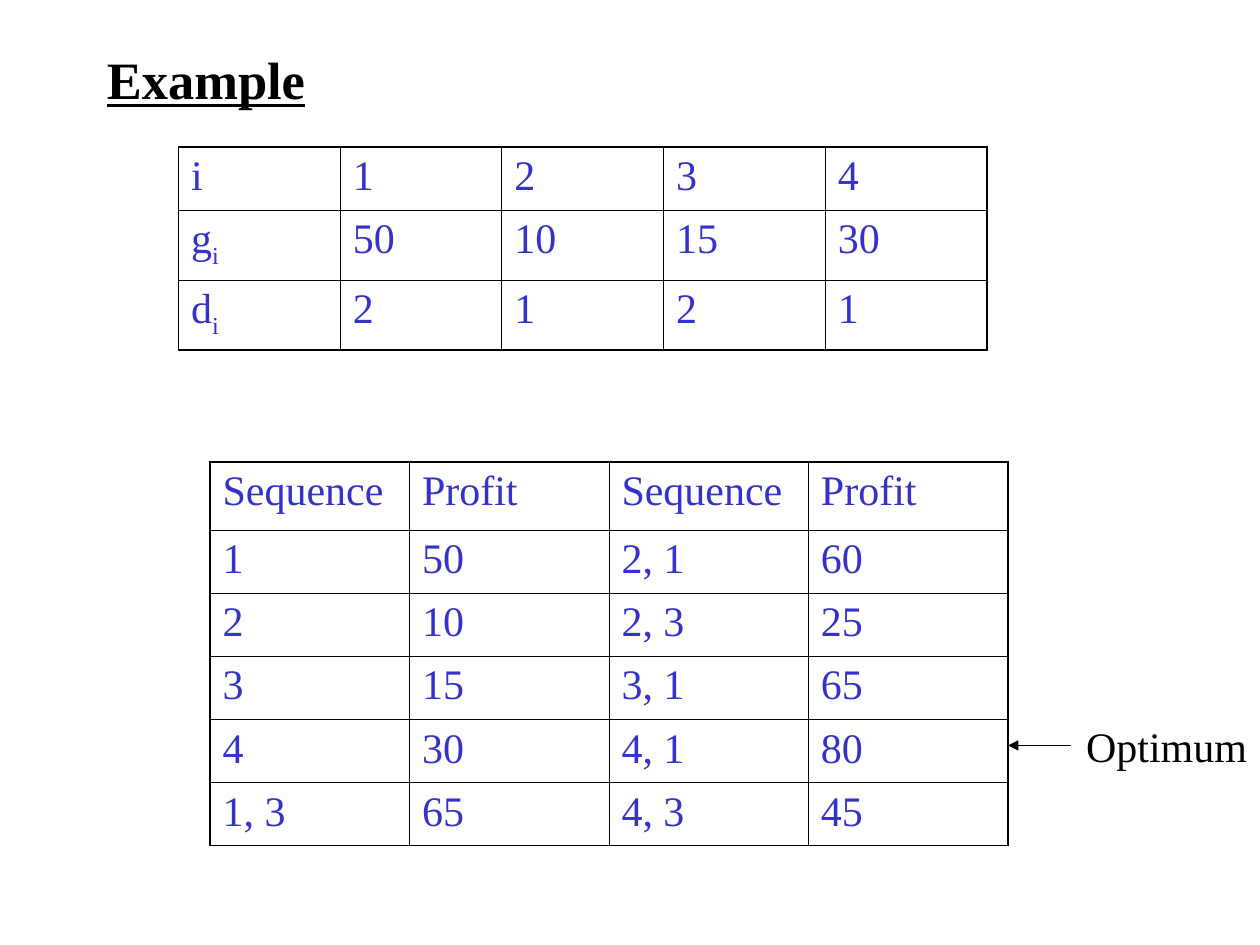
from lxml import etree
from pptx import Presentation
from pptx.dml.color import RGBColor
from pptx.enum import shapes, text
from pptx.oxml import ns
from pptx.util import Pt

FONT = "Times New Roman"
BLACK = "000000"
BLUE = "3333CC"
THIN, THICK = 0.45, 1.08

JOBS = [
    ["i", "1", "2", "3", "4"],
    ["g_i", "50", "10", "15", "30"],
    ["d_i", "2", "1", "2", "1"],
]
PROFITS = [
    ["Sequence", "Profit", "Sequence", "Profit"],
    ["1", "50", "2, 1", "60"],
    ["2", "10", "2, 3", "25"],
    ["3", "15", "3, 1", "65"],
    ["4", "30", "4, 1", "80"],
    ["1, 3", "65", "4, 3", "45"],
]


def color(value):
    """Turn a hex string into a colour."""
    return RGBColor.from_string(value)


def style_paragraph(paragraph, size, value):
    """Set the font, size and colour of a paragraph."""
    paragraph.font.name = FONT
    paragraph.font.size = Pt(size)
    paragraph.font.color.rgb = color(value)


def add_label(slide, box, content, size, wrap=True):
    """Add a black line of text, centred vertically in its box."""
    frame = slide.shapes.add_textbox(*map(Pt, box)).text_frame
    frame.word_wrap = wrap
    frame.vertical_anchor = text.MSO_ANCHOR.MIDDLE
    paragraph = frame.paragraphs[0]
    paragraph.text = content
    style_paragraph(paragraph, size, BLACK)
    return paragraph


def add_title(slide, box):
    """Add the underlined heading."""
    paragraph = add_label(slide, box, "Example", 30)
    paragraph.font.bold = True
    paragraph.font.underline = True


def set_borders(cell, widths):
    """Draw the left, right, top and bottom borders of a cell."""
    properties = cell._tc.get_or_add_tcPr()
    for index, (side, width) in enumerate(zip("LRTB", widths)):
        line = etree.Element(ns.qn(f"a:ln{side}"), w=str(Pt(width)))
        fill = etree.SubElement(line, ns.qn("a:solidFill"))
        etree.SubElement(fill, ns.qn("a:srgbClr"), val=BLACK)
        properties.insert(index, line)


def fill_cell(cell, content):
    """Write a cell, setting what follows an underscore as a subscript."""
    cell.fill.background()
    paragraph = cell.text_frame.paragraphs[0]
    base, _, subscript = content.partition("_")
    paragraph.add_run().text = base
    if subscript:
        run = paragraph.add_run()
        run.text = subscript
        run._r.get_or_add_rPr().set("baseline", "-25000")
    style_paragraph(paragraph, 24, BLUE)


def add_grid(slide, left, top, width, heights, rows):
    """Add a table with equal columns, thin rules and a thicker frame."""
    last_row, last_column = len(rows) - 1, len(rows[0]) - 1
    box = (left, top, width, sum(heights))
    table = slide.shapes.add_table(len(rows), len(rows[0]), *map(Pt, box)).table
    table.first_row = table.horz_banding = False
    for column in table.columns:
        column.width = Pt(width / len(rows[0]))
    for r, (height, values) in enumerate(zip(heights, rows)):
        table.rows[r].height = Pt(height)
        for c, value in enumerate(values):
            cell = table.cell(r, c)
            fill_cell(cell, value)
            edges = (c == 0, c == last_column, r == 0, r == last_row)
            set_borders(cell, [THICK if edge else THIN for edge in edges])


def add_optimum(slide, left, top, width, height):
    """Add the arrow to the best row and its label."""
    arrow_length = 36
    label_left = left + arrow_length + 1.5
    y = top + height / 2
    ends = (left + arrow_length, y, left, y)
    arrow = slide.shapes.add_connector(shapes.MSO_CONNECTOR.STRAIGHT, *map(Pt, ends))
    arrow.line.color.rgb = color(BLACK)
    arrow.line.width = Pt(0.75)
    etree.SubElement(arrow.line._get_or_add_ln(), ns.qn("a:tailEnd"), type="triangle")
    etree.SubElement(arrow._element.spPr, ns.qn("a:effectLst"))
    box = (label_left, top, left + width - label_left, height)
    add_label(slide, box, "Optimum", 24, wrap=False)


def main():
    """Build and save the slide."""
    presentation = Presentation()
    presentation.slide_width, presentation.slide_height = Pt(720), Pt(540)
    slide = presentation.slides.add_slide(presentation.slide_layouts[6])
    add_title(slide, (54, 24, 486, 42))
    add_grid(slide, 102, 84, 462, [36, 40, 40], JOBS)
    add_grid(slide, 120, 264, 456, [39] + [36] * 5, PROFITS)
    add_optimum(slide, 576, 408, 144, 36)
    presentation.save("out.pptx")


if __name__ == "__main__":
    main()
